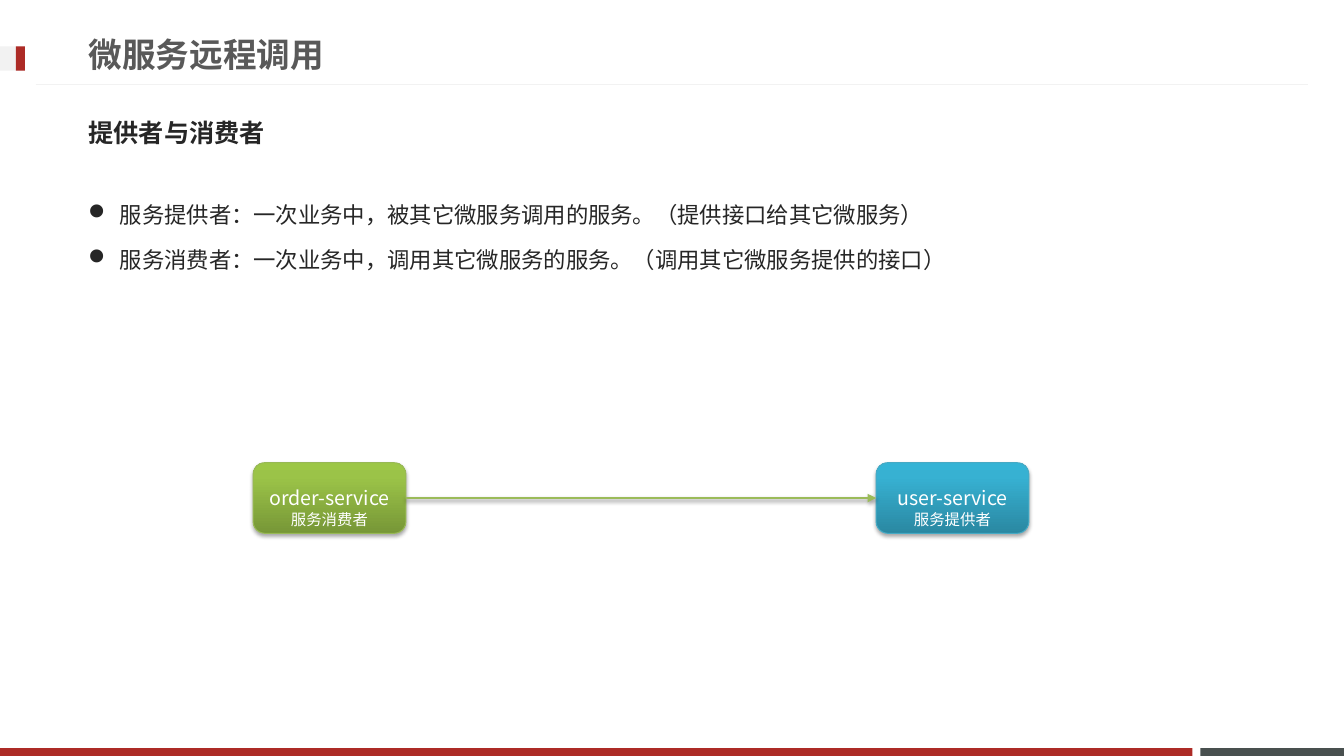
from copy import deepcopy

from lxml.etree import SubElement
from pptx import Presentation
from pptx.dml.color import RGBColor
from pptx.enum.shapes import MSO_CONNECTOR, MSO_SHAPE
from pptx.enum.text import MSO_ANCHOR, MSO_AUTO_SIZE, PP_ALIGN
from pptx.oxml.ns import qn
from pptx.util import Cm, Pt

CJK_FONT = "Noto Sans CJK JP"
RED, PALE, SLATE, INK, WHITE = "AD2B26", "F2F2F2", "49504F", "262626", "FFFFFF"


def colour(value):
    return RGBColor.from_string(value)


def add_span(para, text, size, fill, bold=False, face=CJK_FONT):
    span = para.add_run()
    span.text = text
    span.font.size = Pt(size)
    span.font.name = face
    span.font.bold = bold
    span.font.color.rgb = colour(fill)
    SubElement(span.font._element, qn("a:ea"), typeface=CJK_FONT)


def add_text_box(page, left, top, width, height, anchor=MSO_ANCHOR.TOP):
    box = page.shapes.add_textbox(Cm(left), Cm(top), Cm(width), Cm(height))
    box.text_frame.word_wrap = True
    box.text_frame.vertical_anchor = anchor
    return box.text_frame


def add_block(page, left, top, width, height, fill):
    block = page.shapes.add_shape(
        MSO_SHAPE.RECTANGLE, Cm(left), Cm(top), Cm(width), Cm(height))
    block.shadow.inherit = False
    block.fill.solid()
    block.fill.fore_color.rgb = colour(fill)
    block.line.fill.background()


def set_shadow(shape, opacity, distance):
    properties = shape._element.spPr
    effects = properties.find(qn("a:effectLst"))
    if effects is None:
        effects = SubElement(properties, qn("a:effectLst"))
    shadow = SubElement(effects, qn("a:outerShdw"), blurRad=str(Pt(3.1)),
                        dist=str(Pt(distance)), dir="5400000", rotWithShape="0")
    black = SubElement(shadow, qn("a:srgbClr"), val="000000")
    SubElement(black, qn("a:alpha"), val=str(opacity * 1000))


def add_rule(page, start, end, y, fill, weight):
    rule = page.shapes.add_connector(
        MSO_CONNECTOR.STRAIGHT, Cm(start), Cm(y), Cm(end), Cm(y))
    rule.line.color.rgb = colour(fill)
    rule.line.width = Pt(weight)
    return rule


def draw_frame(page, width, height):
    # Footer bars
    bar, split = 0.2, 30.05
    add_block(page, split + 0.2, height - bar, width - split - 0.2, bar, SLATE)
    add_block(page, 0, height - bar, split, bar, RED)
    # Header rule and marker
    rule = add_rule(page, 0.9, width - 0.9, 2.13, PALE, 0.75)
    SubElement(rule._element.spPr, qn("a:effectLst"))
    add_block(page, 0, 1.17, 0.63, 0.61, PALE)
    add_block(page, 0.4, 1.17, 0.23, 0.61, RED)


def draw_title(page, text, left, top, width, height):
    title = page.shapes.title
    title.left, title.top = Cm(left), Cm(top)
    title.width, title.height = Cm(width), Cm(height)
    frame = title.text_frame
    frame.vertical_anchor = MSO_ANCHOR.MIDDLE
    frame.auto_size = MSO_AUTO_SIZE.NONE
    para = frame.paragraphs[0]
    para.alignment = PP_ALIGN.LEFT
    add_span(para, text, 24, "595959", bold=True, face="Calibri")


def draw_subtitle(page, text, left, top, width, height):
    frame = add_text_box(page, left, top, width, height, MSO_ANCHOR.MIDDLE)
    add_span(frame.paragraphs[0], text, 18, INK, bold=True)


def draw_bullets(page, lines, left, top, width, height):
    frame = add_text_box(page, left, top, width, height)
    for index, line in enumerate(lines):
        para = frame.add_paragraph() if index else frame.paragraphs[0]
        para.line_spacing = 1.5
        para.space_before = Pt(3.2)
        properties = para._p.get_or_add_pPr()
        properties.set("marL", str(Cm(0.79)))
        properties.set("indent", str(Cm(-0.79)))
        # The letter l is a round bullet in this symbol font
        SubElement(properties, qn("a:buFont"), typeface="Wingdings", charset="2")
        SubElement(properties, qn("a:buChar"), char="l")
        add_span(para, line, 16, INK)


def draw_service(page, name, stops, outline, left, top, width, height):
    service = page.shapes.add_shape(
        MSO_SHAPE.ROUNDED_RECTANGLE, Cm(left), Cm(top), Cm(width), Cm(height))
    service.fill.gradient()
    service.fill.gradient_angle = 90
    stop_list = service._element.spPr.find(".//" + qn("a:gsLst"))
    stop_list.append(deepcopy(stop_list[0]))
    for stop, position, value in zip(service.fill.gradient_stops, (0, 0.8, 1), stops):
        stop.position = position
        stop.color.rgb = colour(value)
    service.line.color.rgb = colour(outline)
    service.line.width = Pt(0.75)
    service.shadow.inherit = False
    set_shadow(service, 35, 1.8)
    frame = service.text_frame
    frame.vertical_anchor = MSO_ANCHOR.MIDDLE
    frame.word_wrap = True
    frame.margin_left = frame.margin_right = Cm(0.1)
    frame.paragraphs[0].alignment = PP_ALIGN.CENTER
    add_span(frame.paragraphs[0], name, 14, WHITE)
    return service


def draw_role(page, role, left, top, width, height):
    frame = add_text_box(page, left, top, width, height)
    frame.margin_left = frame.margin_right = 0
    frame.word_wrap = False
    frame.auto_size = MSO_AUTO_SIZE.SHAPE_TO_FIT_TEXT
    frame.paragraphs[0].alignment = PP_ALIGN.CENTER
    add_span(frame.paragraphs[0], role, 11, WHITE)


def draw_call(page, left, top, width, height):
    service_width, role_width = 3.85, 2.44
    provider_left = left + width - service_width
    consumer = draw_service(
        page, "order-service", ("779737", "9BC348", "9DC746"),
        "98B955", left, top, service_width, height)
    provider = draw_service(
        page, "user-service", ("2A88A2", "37B1D2", "34B4D6"),
        "46AAC5", provider_left, top, service_width, height)
    # Arrow from consumer to provider
    arrow = add_rule(page, left + service_width, provider_left,
                     top + height / 2, "9BBB59", 2)
    arrow.begin_connect(consumer, 3)
    arrow.end_connect(provider, 1)
    SubElement(arrow.line._get_or_add_ln(), qn("a:tailEnd"), type="triangle")
    set_shadow(arrow, 38, 1.6)
    # Role captions, centred in the services
    inset = (service_width - role_width) / 2
    for role, service_left in (("服务提供者", provider_left), ("服务消费者", left)):
        draw_role(page, role, service_left + inset, top + 1.07, role_width, 0.73)


def main():
    width, height = 33.87, 19.05
    deck = Presentation()
    deck.slide_width, deck.slide_height = Cm(width), Cm(height)
    page = deck.slides.add_slide(deck.slide_layouts[5])
    left = 1.98
    draw_frame(page, width, height)
    draw_title(page, "微服务远程调用", left, 0.64, 24.36, 1.45)
    draw_subtitle(page, "提供者与消费者", left, 2.62, 29.72, 1.45)
    draw_bullets(page, (
        "服务提供者：一次业务中，被其它微服务调用的服务。（提供接口给其它微服务）",
        "服务消费者：一次业务中，调用其它微服务的服务。（调用其它微服务提供的接口）",
    ), left, 4.6, 29.72, 4.93)
    draw_call(page, 6.38, 11.66, 19.55, 1.78)
    deck.save("out.pptx")


if __name__ == "__main__":
    main()
